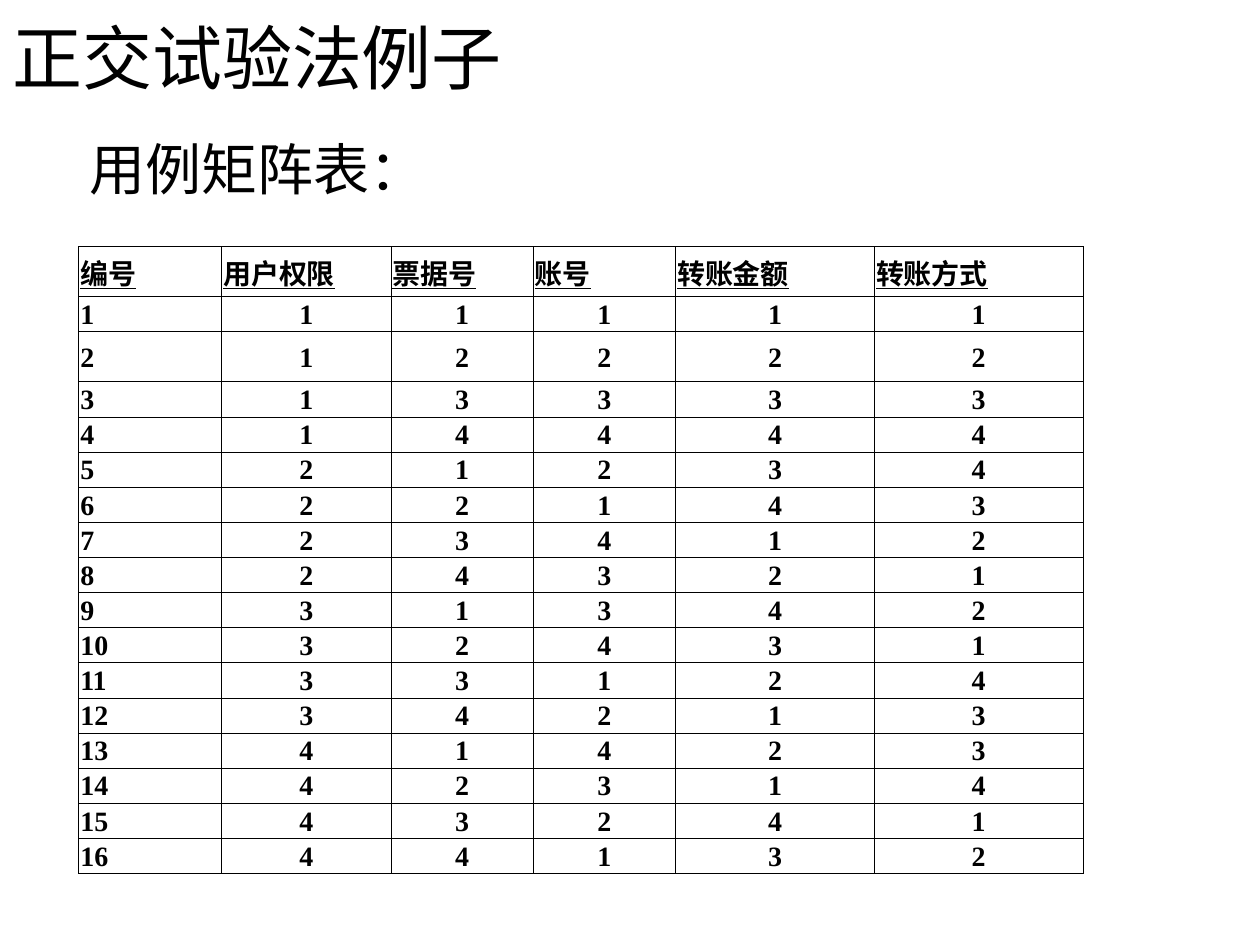
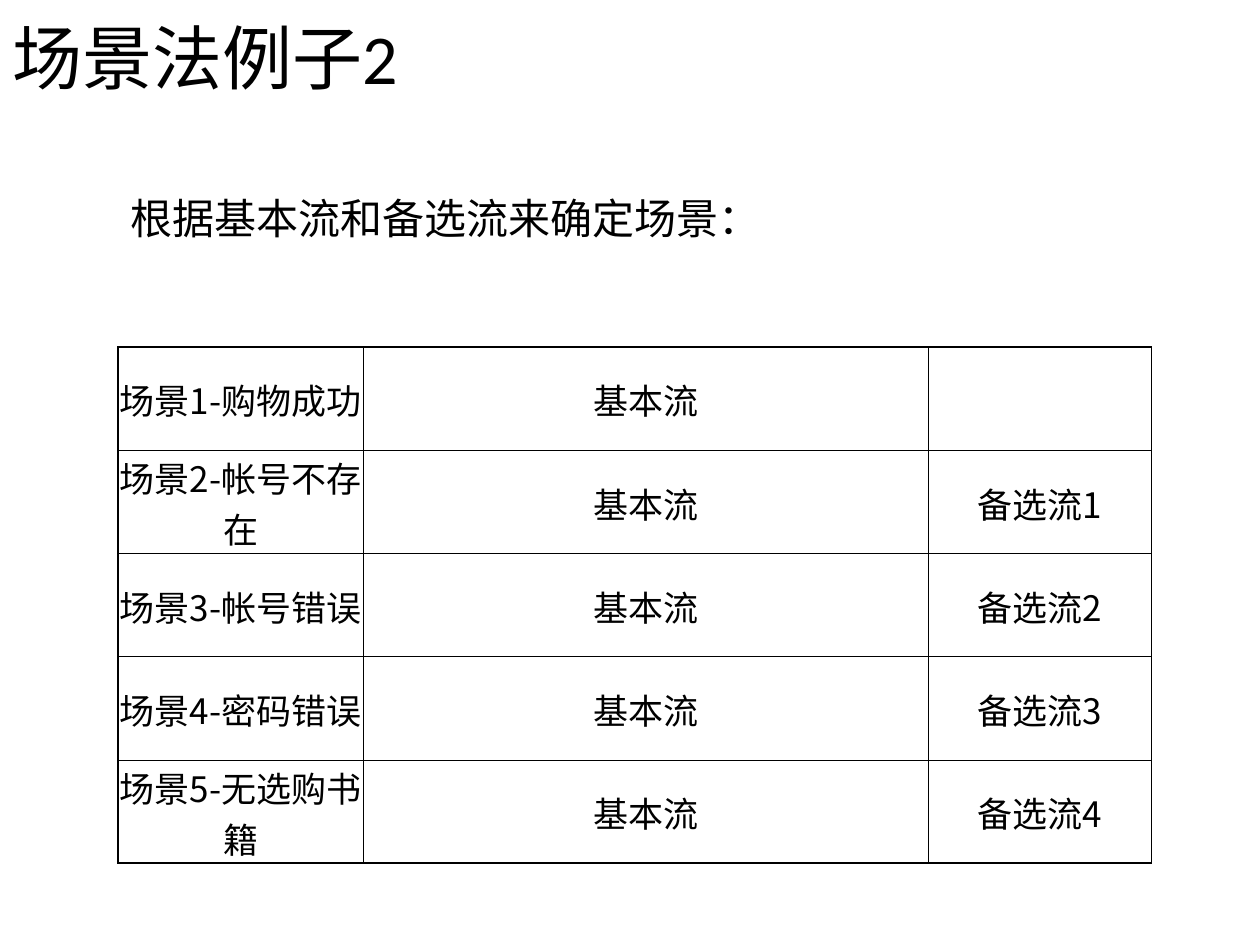
import pptx
import pptx.util
import pptx.dml.color
import pptx.enum.text
import pptx.oxml.ns
from lxml import etree

Cm, Pt = pptx.util.Cm, pptx.util.Pt
ALIGN = pptx.enum.text.PP_ALIGN
ANCHOR = pptx.enum.text.MSO_ANCHOR

# Shared style
COLOURS = {"ink": "000000", "paper": "FFFFFF"}
LATIN, CHINESE, DIGITS = "Calibri", "Noto Sans CJK SC", "Times New Roman"
THIN, THICK = 0.5, 1

# Content: orthogonal test cases (number, then the level of each factor)
FACTORS = ["编号", "用户权限", "票据号", "账号", "转账金额", "转账方式"]
LEVELS = [
    "1111", "2222", "3333", "4444",
    "1234", "2143", "3412", "4321",
    "1342", "2431", "3124", "4213",
    "1423", "2314", "3241", "4132",
]
CASES = [[str(index + 1), str(index // 4 + 1), *levels]
         for index, levels in enumerate(LEVELS)]

# Content: scenarios and the flows they follow
SCENARIOS = [
    ("场景1-购物成功", "基本流", ""),
    ("场景2-帐号不存在", "基本流", "备选流1"),
    ("场景3-帐号错误", "基本流", "备选流2"),
    ("场景4-密码错误", "基本流", "备选流3"),
    ("场景5-无选购书籍", "基本流", "备选流4"),
]

SLIDES = [
    {
        "title": "正交试验法例子",
        "lead": {"text": "用例矩阵表：", "at": (0.79, 2.59, 22.86, 1.83),
                 "size": 32, "indent": 0.77},
        "table": {"rows": [FACTORS] + CASES, "at": (1.59, 4.97), "size": 16,
                  "columns": [2.88, 3.41, 2.87, 2.87, 4.01, 4.2],
                  "heights": [1.01, 0.65, 1.01] + [0.65] * 14,
                  "matrix": True, "frame": THIN},
    },
    {
        "title": "场景法例子2",
        "lead": {"text": "根据基本流和备选流来确定场景：", "at": (2.39, 3.76, 13.28, 1.27),
                 "size": 24, "indent": 0},
        "table": {"rows": SCENARIOS, "at": (2.38, 7), "size": 20,
                  "columns": [4.95, 11.39, 4.49],
                  "heights": [2.08] * 5,
                  "matrix": False, "frame": THICK},
    },
]


def add_span(para, text, size, font, bold=False, underline=False):
    span = para.add_run()
    span.text = text
    span.font.size = Pt(size)
    span.font.name = font
    span.font.bold = bold
    span.font.underline = underline
    span.font.color.rgb = pptx.dml.color.RGBColor.from_string(COLOURS["ink"])
    east_asian = etree.SubElement(span.font._element, pptx.oxml.ns.qn("a:ea"))
    east_asian.set("typeface", CHINESE)


def add_text(page, text, at, size, anchor, indent=0):
    box = page.shapes.add_textbox(*map(Cm, at))
    frame = box.text_frame
    frame.word_wrap = True
    frame.vertical_anchor = anchor
    para = frame.paragraphs[0]
    if indent:
        para._p.get_or_add_pPr().set("marL", str(Cm(indent)))
    add_span(para, text, size, LATIN)


def set_border(cell, side, width):
    properties = cell._tc.get_or_add_tcPr()
    line = etree.SubElement(properties, pptx.oxml.ns.qn(f"a:ln{side}"), w=str(Pt(width)))
    fill = etree.SubElement(line, pptx.oxml.ns.qn("a:solidFill"))
    etree.SubElement(fill, pptx.oxml.ns.qn("a:srgbClr"), val=COLOURS["ink"])


def add_grid(page, rows, at, size, columns, heights, matrix, frame):
    shape = page.shapes.add_table(len(rows), len(columns), *map(Cm, at),
                                  Cm(sum(columns)), Cm(sum(heights)))
    table = shape.table
    table.first_row = table.horz_banding = False
    for column, width in zip(table.columns, columns):
        column.width = Cm(width)
    for row, height in zip(table.rows, heights):
        row.height = Cm(height)

    last_row, last_column = len(rows) - 1, len(columns) - 1
    for r, values in enumerate(rows):
        for c, text in enumerate(values):
            cell = table.cell(r, c)
            cell.vertical_anchor = ANCHOR.MIDDLE
            cell.margin_left = cell.margin_right = cell.margin_top = Cm(0.03)
            cell.margin_bottom = 0

            # Outer edges take the frame width; borders precede the fill
            edges = {"L": c == 0, "R": c == last_column,
                     "T": r == 0, "B": r == last_row}
            for side, outer in edges.items():
                set_border(cell, side, frame if outer else THIN)
            cell.fill.background()

            # A matrix has an underlined header and a left-aligned first column
            header = matrix and r == 0
            para = cell.text_frame.paragraphs[0]
            para.alignment = ALIGN.LEFT if header or matrix and c == 0 else ALIGN.CENTER
            if text:
                font = DIGITS if matrix and not header else CHINESE
                add_span(para, text, size, font, bold=matrix, underline=header)


def main():
    deck = pptx.Presentation()
    deck.slide_width, deck.slide_height = Cm(25.4), Cm(19.05)
    for content in SLIDES:
        page = deck.slides.add_slide(deck.slide_layouts[6])
        background = page.background.fill
        background.solid()
        background.fore_color.rgb = pptx.dml.color.RGBColor.from_string(COLOURS["paper"])
        add_text(page, content["title"], (0, 0.22, 22.86, 1.83), 40, ANCHOR.MIDDLE)
        add_grid(page, **content["table"])
        add_text(page, **content["lead"], anchor=ANCHOR.TOP)
    deck.save("out.pptx")


if __name__ == "__main__":
    main()
